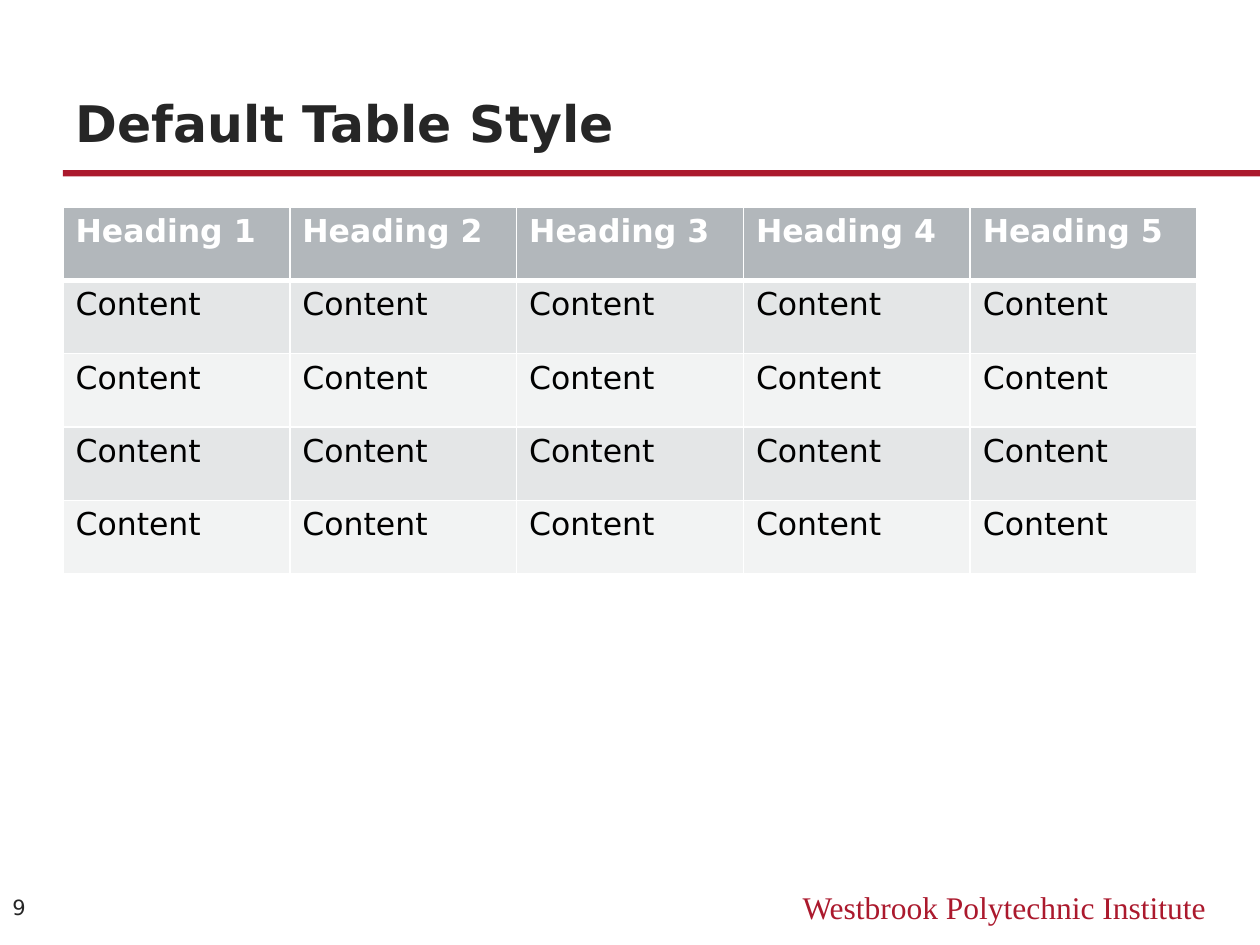
from lxml.etree import SubElement
from pptx import Presentation
from pptx.dml.color import RGBColor
from pptx.enum.shapes import MSO_SHAPE
from pptx.enum.text import MSO_ANCHOR, MSO_AUTO_SIZE, PP_ALIGN
from pptx.oxml.ns import qn
from pptx.util import Cm, Pt

CRIMSON = RGBColor(0xAB, 0x19, 0x2D)
CHARCOAL = RGBColor(0x26, 0x26, 0x26)
BLACK = RGBColor(0x00, 0x00, 0x00)
WHITE = RGBColor(0xFF, 0xFF, 0xFF)
HEADER_GREY = RGBColor(0xB2, 0xB7, 0xBB)
BAND_GREYS = [RGBColor(0xE4, 0xE6, 0xE7), RGBColor(0xF2, 0xF3, 0xF3)]

SANS = "DejaVu Sans"
SERIF = "Times New Roman"
MARGIN = Cm(1.27)
COLUMNS, BODY_ROWS = 5, 4


def write(text_frame, text, size, color, font=SANS, bold=False, align=PP_ALIGN.LEFT):
    text_frame.text = text
    paragraph = text_frame.paragraphs[0]
    paragraph.alignment = align
    for run in paragraph.runs:
        run.font.name = font
        run.font.size = Pt(size)
        run.font.bold = bold
        run.font.color.rgb = color


def add_title(slide, text):
    title = slide.shapes.title
    title.left, title.top, title.width, title.height = MARGIN, Cm(0.97), Cm(22.86), Cm(2.24)
    frame = title.text_frame
    frame.auto_size = MSO_AUTO_SIZE.NONE
    frame.vertical_anchor = MSO_ANCHOR.BOTTOM
    write(frame, text, 28.8, CHARCOAL, bold=True)


def add_rule(slide):
    rule = slide.shapes.add_shape(MSO_SHAPE.RECTANGLE, MARGIN, Cm(3.43), Cm(24.13), Cm(0.13))
    rule.shadow.inherit = False
    rule.fill.solid()
    rule.fill.fore_color.rgb = CRIMSON
    rule.line.fill.background()


def add_label(slide, box, text, size, color, anchor=MSO_ANCHOR.TOP, **style):
    frame = slide.shapes.add_textbox(*box).text_frame
    frame.word_wrap = True
    frame.vertical_anchor = anchor
    write(frame, text, size, color, **style)


def set_borders(cell, top, bottom):
    """Draw white borders; top and bottom give their widths in points."""
    properties = cell._tc.get_or_add_tcPr()
    for side, width in (("lnL", 1), ("lnR", 1), ("lnT", top), ("lnB", bottom)):
        line = SubElement(properties, qn(f"a:{side}"), w=str(Pt(width)))
        fill = SubElement(line, qn("a:solidFill"))
        SubElement(fill, qn("a:srgbClr"), val=str(WHITE))


def style_cell(cell, text, fill, color, bold=False, top=1, bottom=1):
    set_borders(cell, top, bottom)
    cell.fill.solid()
    cell.fill.fore_color.rgb = fill
    write(cell.text_frame, text, 18, color, bold=bold)


def add_content_table(slide):
    table = slide.shapes.add_table(
        BODY_ROWS + 1, COLUMNS, MARGIN, Cm(4.17), Cm(22.86), Cm(7.4)
    ).table
    for column in range(COLUMNS):
        # Heading, set off from the body by a thicker line
        style_cell(table.cell(0, column), f"Heading {column + 1}",
                   HEADER_GREY, WHITE, bold=True, bottom=3)
        # Banded body rows
        for row in range(1, BODY_ROWS + 1):
            style_cell(table.cell(row, column), "Content",
                       BAND_GREYS[(row - 1) % 2], BLACK, top=3 if row == 1 else 1)


def main():
    presentation = Presentation()
    presentation.slide_width, presentation.slide_height = Cm(25.4), Cm(19.05)
    slide = presentation.slides.add_slide(presentation.slide_layouts[5])

    # Heading area
    add_rule(slide)
    add_title(slide, "Default Table Style")

    # Body
    add_content_table(slide)

    # Footer: institution and page number
    add_label(slide, (Cm(15.24), Cm(17.78), Cm(9.32), Cm(1.02)),
              "Westbrook Polytechnic Institute", 18, CRIMSON,
              font=SERIF, align=PP_ALIGN.RIGHT)
    add_label(slide, (Cm(0), Cm(17.75), MARGIN, Cm(1.09)),
              "9", 12, CHARCOAL, anchor=MSO_ANCHOR.MIDDLE)

    presentation.save("out.pptx")


if __name__ == "__main__":
    main()
